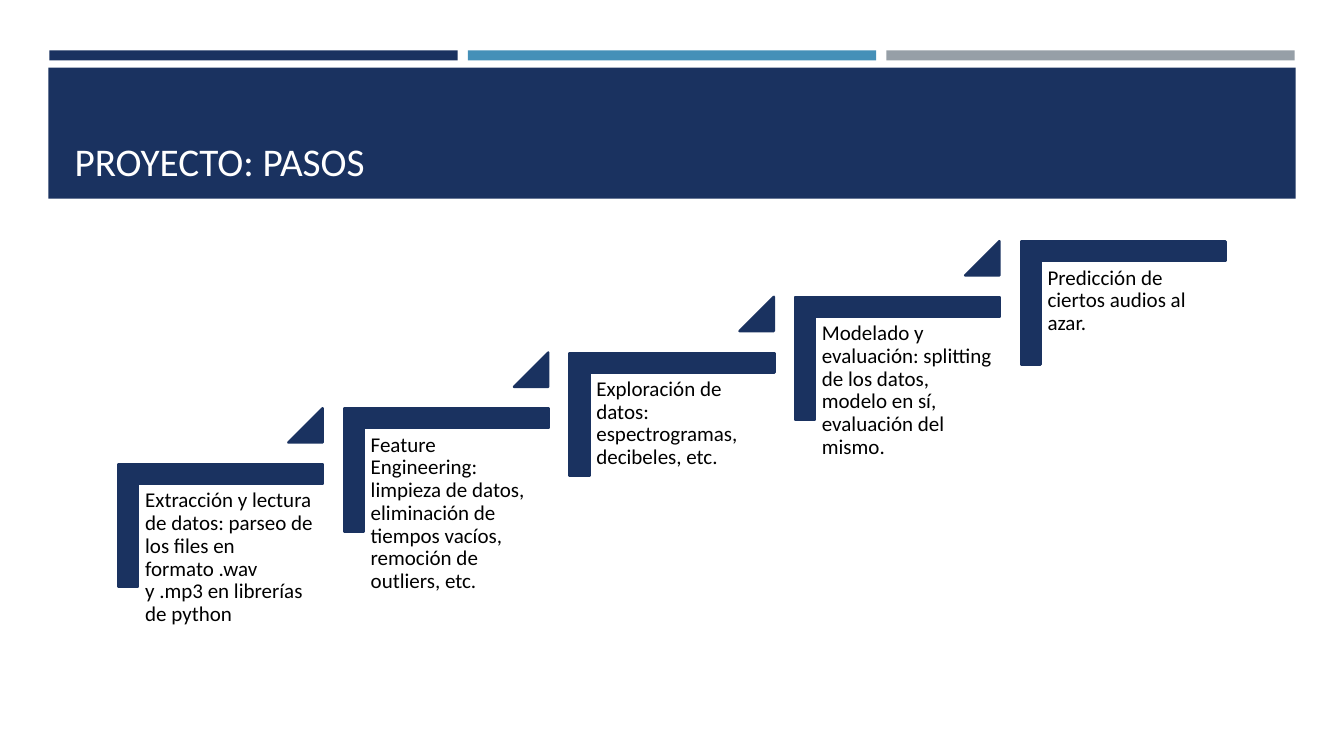
from pptx import Presentation, util as u
from pptx.dml.color import RGBColor
from pptx.enum import shapes, text

NAVY, BLUE, GRAY, WHITE, BLACK = "1A3260", "4590B8", "969FA7", "FFFFFF", "000000"
FONT = "Calibri"
LEFT, TOP = 1.38, 4.8
RUN, RISE = 8.95 / 4, 2.21 / 4
STEPS = [
    "Extracción y lectura de datos: parseo de los files en formato .wav y .mp3 en librerías de python",
    "Feature Engineering: limpieza de datos, eliminación de tiempos vacíos, remoción de outliers, etc.",
    "Exploración de datos: espectrogramas, decibeles, etc.",
    "Modelado y evaluación: splitting de los datos, modelo en sí, evaluación del mismo.",
    "Predicción de ciertos audios al azar.",
]


def color(fmt, value):
    fmt.rgb = RGBColor.from_string(value)


def box(*lengths):
    return [u.Inches(n) for n in lengths]


def add_block(parent, kind, at, fill, outlined=False):
    sp = parent.shapes.add_shape(kind, *box(*at))
    sp.shadow.inherit = False
    sp.fill.solid()
    color(sp.fill.fore_color, fill)
    if outlined:
        color(sp.line.color, fill)
        sp.line.width = u.Pt(1.75)
    else:
        sp.line.fill.background()
    return sp


def style(p, size, value):
    p.font.name = FONT
    p.font.size = u.Pt(size)
    color(p.font.color, value)


def add_header(s):
    for i, fill in enumerate((NAVY, BLUE, GRAY)):
        add_block(s, shapes.MSO_SHAPE.RECTANGLE, (0.49 + 4.15 * i, 0.5, 4.05, 0.1), fill)
    band = add_block(s, shapes.MSO_SHAPE.RECTANGLE, (0.48, 0.67, 12.37, 1.3), NAVY)
    title = s.shapes.title
    band.element.addnext(title.element)
    title.left, title.top, title.width, title.height = box(0.64, 0.77, 12.06, 1.11)
    tf = title.text_frame
    tf.text = "PROYECTO: PASOS"
    tf.auto_size = text.MSO_AUTO_SIZE.NONE
    tf.vertical_anchor = text.MSO_ANCHOR.BOTTOM
    p = tf.paragraphs[0]
    p.alignment = text.PP_ALIGN.LEFT
    style(p, 28, WHITE)


def add_label(parent, at, words):
    tf = parent.shapes.add_textbox(*box(*at)).text_frame
    tf.word_wrap = True
    tf.margin_left = tf.margin_top = tf.margin_right = tf.margin_bottom = u.Inches(0.06)
    p = tf.paragraphs[0]
    p.text = words
    p.line_spacing = 0.9
    style(p, 15, BLACK)


def add_step(parent, i, words):
    x, y = LEFT + RUN * i, TOP - RISE * i
    corner = add_block(parent, shapes.MSO_SHAPE.CORNER, (x + 0.2, y - 0.6, 1.22, 2.03), NAVY, True)
    corner.rotation = 90
    corner.adjustments[0] = corner.adjustments[1] = 0.16
    add_label(parent, (x, y, 1.83, 1.6), words)
    if i < len(STEPS) - 1:
        riser = add_block(parent, shapes.MSO_SHAPE.ISOSCELES_TRIANGLE,
                          (x + 1.48, y - 0.75, 0.34, 0.34), NAVY, True)
        riser.adjustments[0] = 1


def main():
    prs = Presentation()
    prs.slide_width, prs.slide_height = box(13.33, 7.5)
    s = prs.slides.add_slide(prs.slide_layouts[5])
    add_header(s)
    stairs = s.shapes.add_group_shape()
    for i, words in enumerate(STEPS):
        add_step(stairs, i, words)
    prs.save("out.pptx")


if __name__ == "__main__":
    main()
